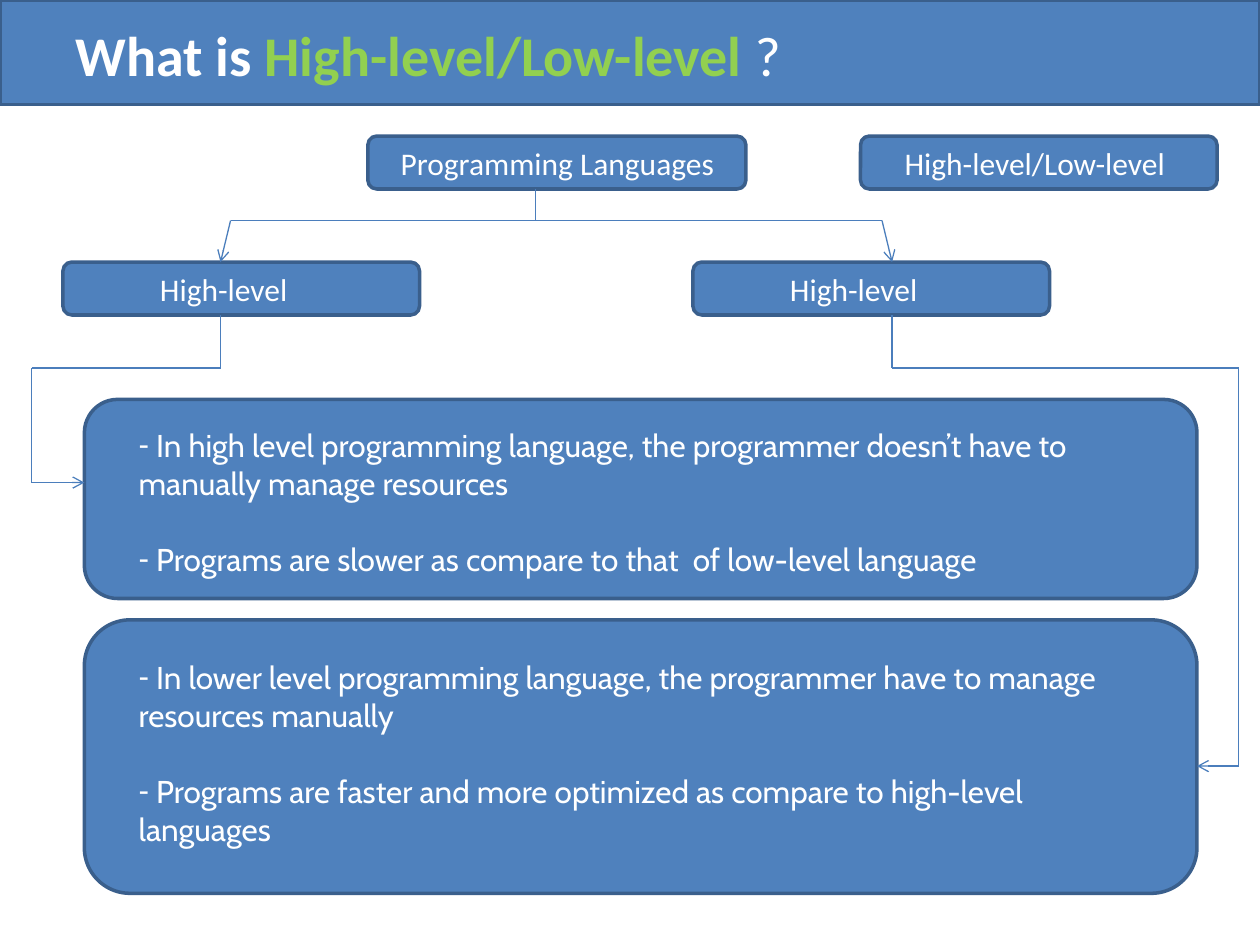
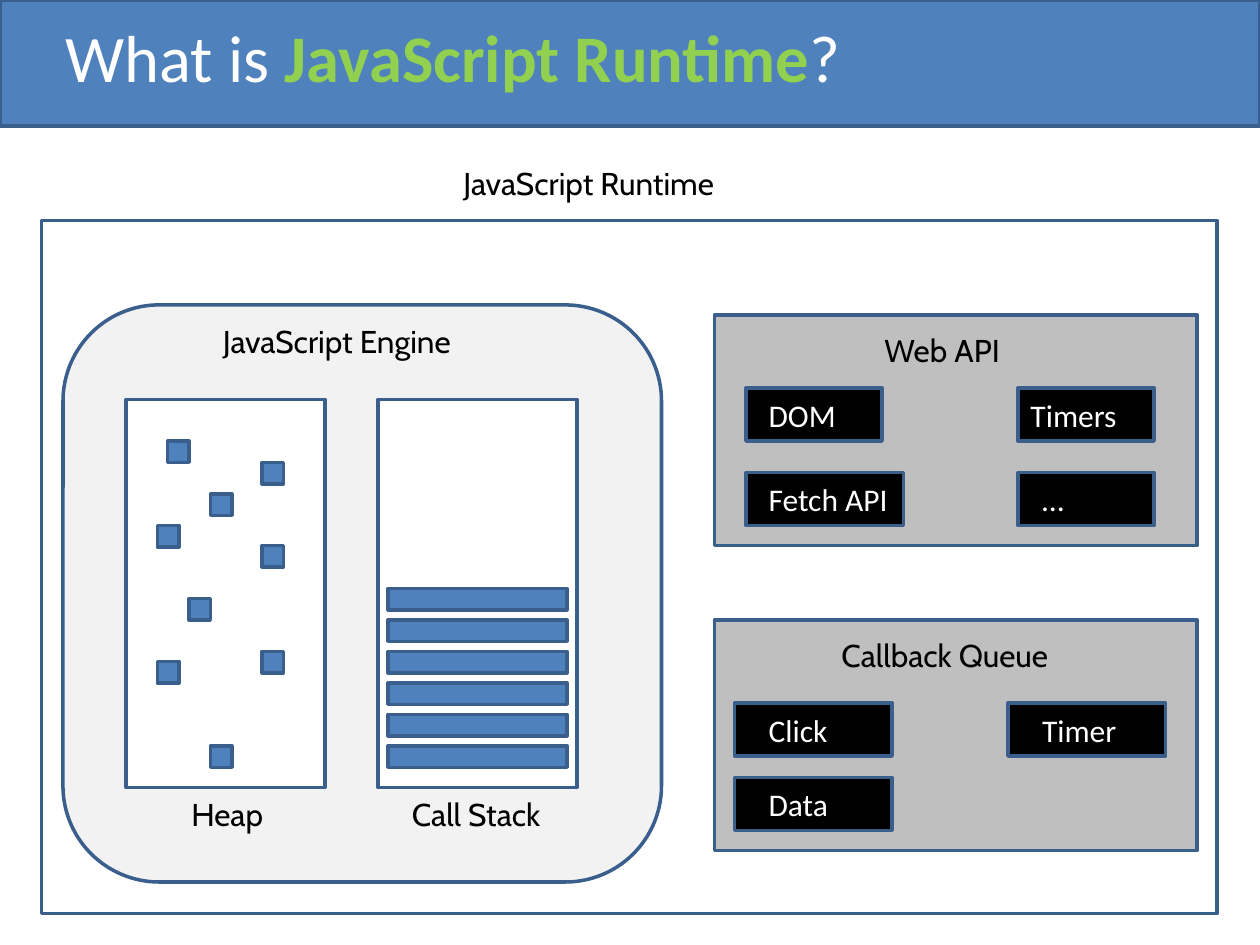
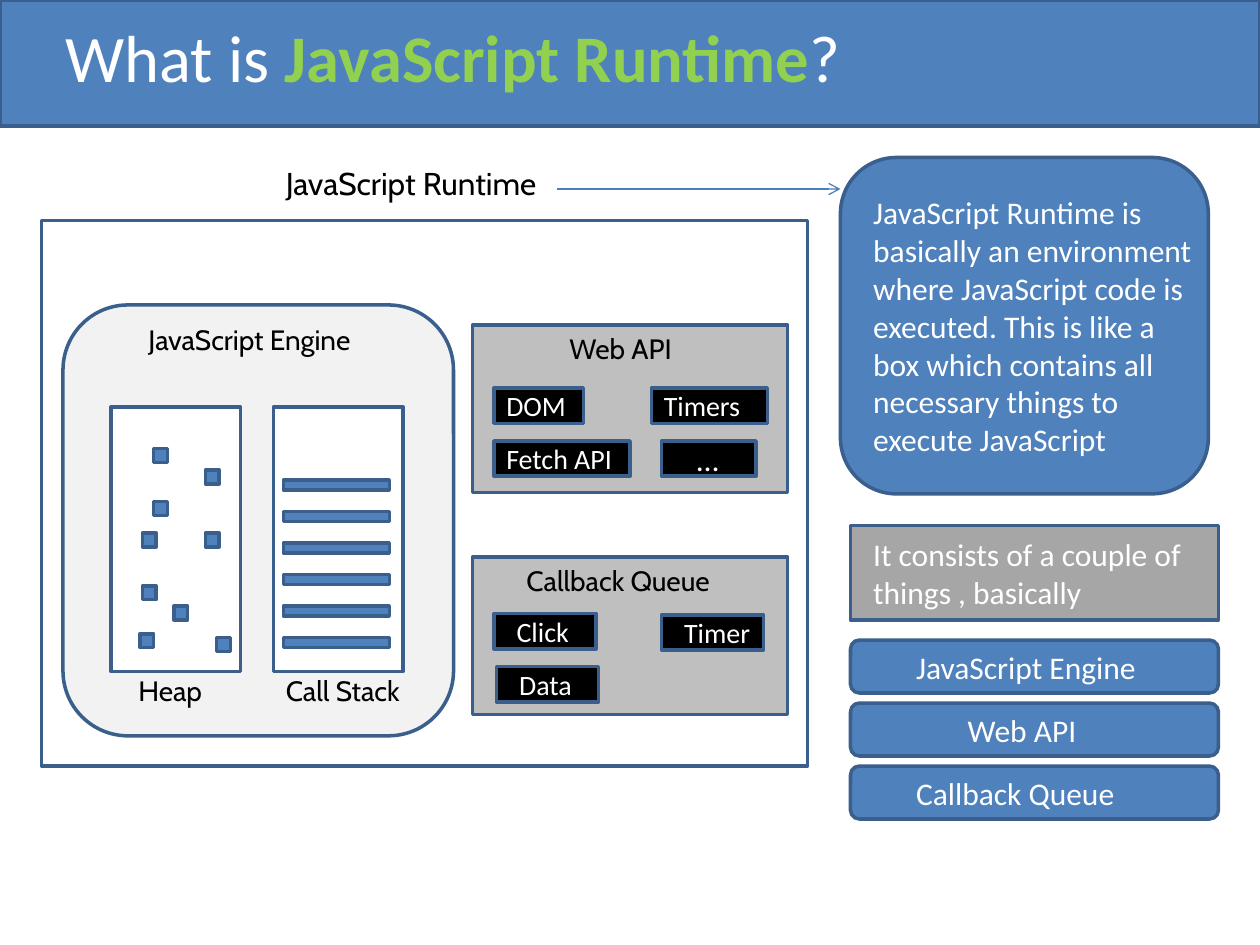
"""Build three slides on language levels and the JavaScript runtime."""
from lxml import etree
from pptx import Presentation
from pptx.dml.color import RGBColor
from pptx.enum import shapes, text
from pptx.oxml import ns
from pptx.util import Inches, Pt

COLORS = {"blue": "4F81BD", "edge": "3A5F8C", "arrow": "4B7EBC", "green": "92D050",
          "white": "FFFFFF", "black": "000000", "pale": "F2F2F2", "silver": "BFBFBF",
          "gray": "A6A6A6"}
RECT = shapes.MSO_SHAPE.RECTANGLE
ROUND = shapes.MSO_SHAPE.ROUNDED_RECTANGLE
CORNER_INSET = 0.0488

LEVELS_TITLE = [("What is ", "white", True), ("High-level/Low-level", "green", True),
                (" ?", "white", False)]
RUNTIME_TITLE = [("What is ", "white", False), ("JavaScript Runtime", "green", True),
                 ("?", "white", False)]

LEVEL_NODES = [
    ("Programming Languages", (2.92, 1.08, 3, 0.42), 0.26),
    ("High-level/Low-level", (6.83, 1.08, 2.83, 0.42), 0.35),
    ("High-level", (0.5, 2.08, 2.83, 0.42), 0.77),
    ("High-level", (5.5, 2.08, 2.83, 0.42), 0.77),
]
LEVEL_LISTS = [
    ((0.67, 3.17, 8.83, 1.58), (1, 3.33, 8, 1.31),
     ["In high level programming language, the programmer doesn’t have to manually manage resources",
      "Programs are slower as compare to that  of low-level language"]),
    ((0.67, 4.92, 8.83, 2.17), (1, 5.17, 8, 1.62),
     ["In lower level programming language, the programmer have to manage resources manually",
      "Programs are faster and more optimized as compare to high-level languages"]),
]
LEVEL_STEM = [(4.25, 1.5), (4.25, 1.75)]
LEVEL_ARROWS = [
    [(7, 1.75), (1.83, 1.75), (1.75, 2.08)],
    [(7, 1.75), (7.08, 2.08)],
    [(1.75, 2.5), (1.75, 2.92), (0.25, 2.92), (0.25, 3.83), (0.67, 3.83)],
    [(7.08, 2.5), (7.08, 2.92), (9.83, 2.92), (9.83, 6.08), (9.5, 6.08)],
]

WIDE_RUNTIME = {
    "size": 18,
    "caption": (3.58, 1.25, 2.42),
    "frame": (0.33, 1.75, 9.33, 5.5),
    "engine": (0.5, 2.42, 4.75, 4.58),
    "stores": [(1, 3.17, 1.58, 3.08), (3, 3.17, 1.58, 3.08)],
    "panels": [(5.67, 2.5, 3.83, 1.83), (5.67, 4.92, 3.83, 1.83)],
    "cell": 0.17,
    "heap": [(1.33, 3.5), (1.5, 4.75), (1.67, 5.92), (2.08, 5.17), (2.08, 4.33),
             (2.08, 3.67), (1.67, 3.92), (1.25, 4.17), (1.25, 5.25)],
    "frames": (3.08, 4.67, 1.42, 0.17),
    "labels": [("JavaScript Engine", 1.67, 2.51, 2.25), ("Heap", 1.42, 6.26, 0.83),
               ("Call Stack", 3.17, 6.26, 1.33), ("Web API", 6.92, 2.58, 1.42),
               ("Callback Queue", 6.58, 5, 2)],
    "chip_height": 0.42,
    "chips": [("DOM", 5.92, 3.08, 1.08, 0.18), ("Timers", 8.08, 3.08, 1.08, 0.1),
              ("Fetch API", 5.92, 3.75, 1.25, 0.18), ("…", 8.08, 3.75, 1.08, 0.19),
              ("Click", 5.83, 5.58, 1.25, 0.27), ("Timer", 8, 5.58, 1.25, 0.27),
              ("Data", 5.83, 6.17, 1.25, 0.27)],
}
COMPACT_RUNTIME = {
    "size": 16,
    "caption": (2.17, 1.25, 2.5),
    "frame": (0.33, 1.75, 6.08, 4.33),
    "engine": (0.5, 2.42, 3.1, 3.42),
    "stores": [(0.88, 3.23, 1.03, 2.1), (2.17, 3.23, 1.03, 2.1)],
    "panels": [(3.75, 2.58, 2.5, 1.33), (3.75, 4.42, 2.5, 1.25)],
    "cell": 0.11,
    "heap": [(1.22, 3.56), (1.38, 4.81), (1.11, 5.03), (1.72, 5.06), (1.63, 4.23),
             (1.63, 3.73), (1.22, 3.98), (1.13, 4.23), (1.13, 4.65)],
    "frames": (2.25, 3.81, 0.84, 0.08),
    "labels": [("JavaScript Engine", 1.08, 2.51, 2.08), ("Heap", 1, 5.3, 0.75),
               ("Call Stack", 2.17, 5.3, 1.5), ("Web API", 4.42, 2.58, 1.25),
               ("Callback Queue", 4.08, 4.42, 1.92)],
    "chip_height": 0.28,
    "chips": [("DOM", 3.92, 3.08, 0.71, 0.1), ("Timers", 5.17, 3.08, 0.92, 0.1),
              ("Fetch API", 3.92, 3.5, 1.08, 0.1), ("…", 5.25, 3.5, 0.75, 0.28),
              ("Click", 3.92, 4.87, 0.81, 0.18), ("Timer", 5.25, 4.88, 0.81, 0.18),
              ("Data", 3.94, 5.29, 0.81, 0.18)],
}
STACK_COUNT, STACK_STEP = 6, 0.25

DEFINITION = ("JavaScript Runtime is basically an environment where JavaScript code is executed. "
              "This is like a box which contains all necessary things to execute JavaScript")
CONSISTS = "It consists of a couple of things , basically"
PARTS = [("JavaScript Engine", 0.52), ("Web API", 0.93), ("Callback Queue", 0.52)]


def rgb(name):
    return RGBColor.from_string(COLORS[name])


def style(font, size, color, face="Calibri"):
    font.size, font.name = Pt(size), face
    font.color.rgb = rgb(color)


def add_box(s, at, fill="blue", kind=RECT, words="", indent=0.1, size=18):
    sp = s.shapes.add_shape(kind, *map(Inches, at))
    sp.shadow.inherit = False
    sp.fill.solid()
    sp.fill.fore_color.rgb = rgb(fill)
    sp.line.color.rgb = rgb("edge")
    sp.line.width = Pt(2)
    if words:
        corner = CORNER_INSET * min(at[2:]) if kind == ROUND else 0
        tf = sp.text_frame
        tf.word_wrap = True
        tf.vertical_anchor = text.MSO_ANCHOR.MIDDLE
        tf.margin_left = Inches(indent - corner)
        tf.margin_right = tf.margin_top = tf.margin_bottom = 0
        p = tf.paragraphs[0]
        p.text = words
        p.alignment = text.PP_ALIGN.LEFT
        style(p.font, size, "white")
    return sp


def add_label(s, words, left, top, width, size):
    tf = s.shapes.add_textbox(*map(Inches, (left, top, width, 0.4))).text_frame
    tf.word_wrap = True
    p = tf.paragraphs[0]
    p.text = words
    style(p.font, size, "black", "Cabin")


def add_route(s, points, arrow=True):
    for start, end in zip(points, points[1:]):
        c = s.shapes.add_connector(shapes.MSO_CONNECTOR.STRAIGHT, *map(Inches, start + end))
        c.line.color.rgb = rgb("arrow")
        c.line.width = Pt(0.75)
        if arrow and end == points[-1]:
            etree.SubElement(c.line._get_or_add_ln(), ns.qn("a:tailEnd"), type="arrow")
        etree.SubElement(c._element.spPr, ns.qn("a:effectLst"))


def place(s, holder, at):
    s.shapes._spTree.append(holder._element)
    holder.left, holder.top, holder.width, holder.height = map(Inches, at)
    tf = holder.text_frame
    tf.auto_size = text.MSO_AUTO_SIZE.NONE
    tf.vertical_anchor = text.MSO_ANCHOR.TOP
    return tf


def add_title_slide(prs, layout, runs, band_height, at, size):
    s = prs.slides.add_slide(prs.slide_layouts.get_by_name(layout))
    add_box(s, (0, 0, 10, band_height))
    p = place(s, s.shapes.title, at).paragraphs[0]
    p.alignment = text.PP_ALIGN.LEFT
    for words, color, bold in runs:
        r = p.add_run()
        r.text = words
        r.font.bold = bold
        style(r.font, size, color)
    return s


def add_dash_list(s, holder, at, items):
    tf = place(s, holder, at)
    for i, item in enumerate(items):
        p = tf.add_paragraph() if i else tf.paragraphs[0]
        p.text = f" {item}"
        p.space_before = Pt(22 if i else 0)
        style(p.font, 18, "white", "Cabin")
        pPr = p._p.get_or_add_pPr()
        pPr.set("marL", "0")
        pPr.set("indent", "0")
        bullet = etree.Element(ns.qn("a:buChar"), char="-")
        pPr.find(ns.qn("a:spcBef")).addnext(bullet)


def add_levels_slide(prs):
    s = add_title_slide(prs, "Two Content", LEVELS_TITLE, 0.83, (0.5, 0.11, 6.75, 0.64), 32)
    holders = [h for h in s.placeholders if h.placeholder_format.idx]
    for holder, (panel, at, items) in zip(holders, LEVEL_LISTS):
        add_box(s, panel, kind=ROUND)
        add_dash_list(s, holder, at, items)
    for words, at, indent in LEVEL_NODES:
        add_box(s, at, kind=ROUND, words=words, indent=indent)
    add_route(s, LEVEL_STEM, arrow=False)
    for points in LEVEL_ARROWS:
        add_route(s, points)


def add_runtime_slide(prs, d):
    s = add_title_slide(prs, "Title Only", RUNTIME_TITLE, 1, (0.42, 0.08, 6.58, 0.74), 38)
    add_box(s, d["frame"], "white")
    add_box(s, d["engine"], "pale", ROUND)
    for at in d["stores"]:
        add_box(s, at, "white")
    for at in d["panels"]:
        add_box(s, at, "silver")
    for point in d["heap"]:
        add_box(s, point + (d["cell"], d["cell"]))
    left, top, width, height = d["frames"]
    for i in range(STACK_COUNT):
        add_box(s, (left, top + i * STACK_STEP, width, height))
    for words, left, top, width, indent in d["chips"]:
        add_box(s, (left, top, width, d["chip_height"]), "black",
                words=words, indent=indent, size=18 if words == "…" else d["size"])
    for label in d["labels"]:
        add_label(s, *label, d["size"])
    add_label(s, "JavaScript Runtime", *d["caption"], 18)
    return s


def add_explanation(s):
    add_route(s, [(4.42, 1.5), (6.67, 1.5)])
    add_box(s, (6.67, 1.25, 2.92, 2.67), kind=ROUND, words=DEFINITION, indent=0.26)
    add_box(s, (6.75, 4.17, 2.92, 0.75), "gray", words=CONSISTS, indent=0.18)
    for i, (words, indent) in enumerate(PARTS):
        add_box(s, (6.75, 5.08 + i * 0.5, 2.92, 0.42), kind=ROUND, words=words, indent=indent)


def main():
    prs = Presentation()
    prs.slide_width, prs.slide_height = Inches(10), Inches(7.5)
    add_levels_slide(prs)
    add_runtime_slide(prs, WIDE_RUNTIME)
    add_explanation(add_runtime_slide(prs, COMPACT_RUNTIME))
    prs.save("out.pptx")


if __name__ == "__main__":
    main()
